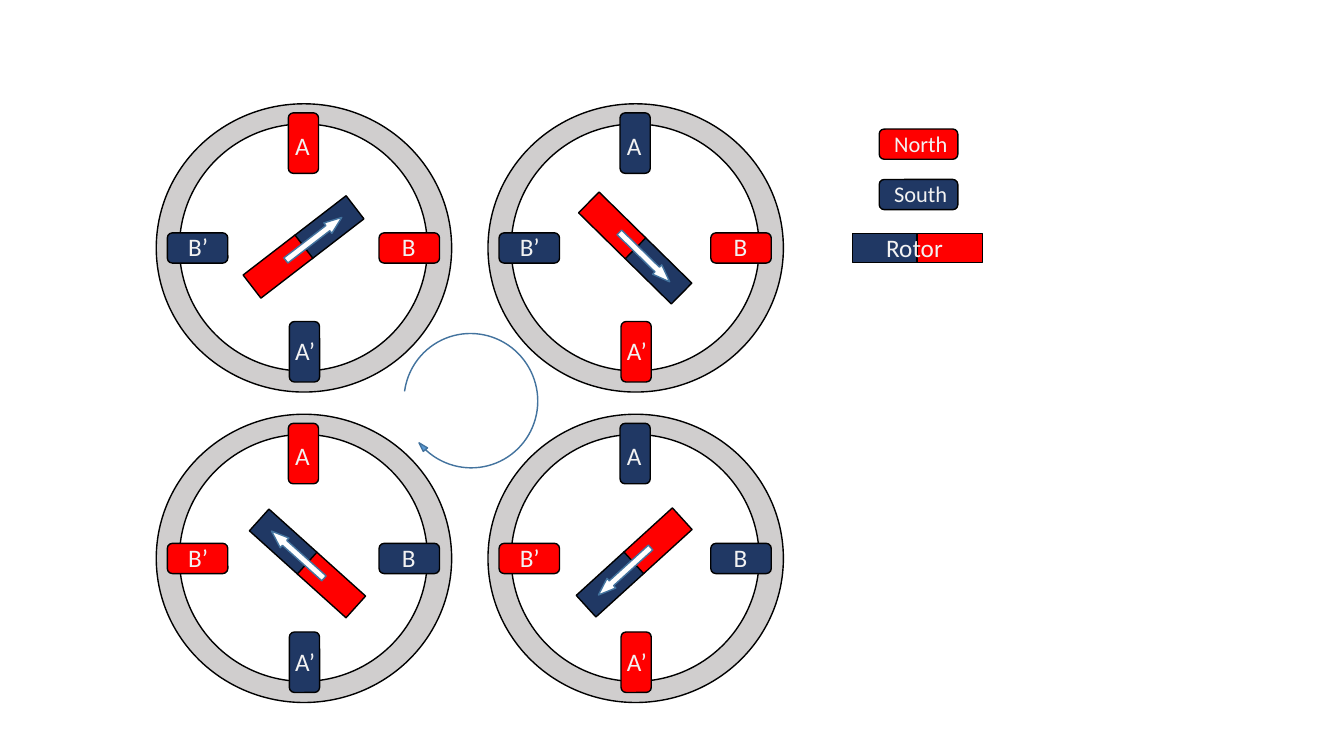
import math
from dataclasses import dataclass

import pptx
import pptx.dml.color
import pptx.enum.shapes
import pptx.enum.text
import pptx.util

MSO = pptx.enum.shapes.MSO_SHAPE
ALIGN = pptx.enum.text.PP_ALIGN
PX = 9144


@dataclass(frozen=True)
class Theme:
    north: str = "FF0000"
    south: str = "203864"
    ring: str = "D0CECE"
    white: str = "FFFFFF"
    line: str = "000000"
    label: str = "F2F2F2"
    arrow_line: str = "43739E"
    turn: str = "5B9BD5"
    font: str = "Calibri"
    size: int = 18
    small: int = 16


T = Theme()
N, S = T.north, T.south

WHEELS = [
    {"at": (155, 103), "coils": (N, S, N, S), "rotor": (301, 245), "angle": 322.4},
    {"at": (484, 103), "coils": (S, N, N, S), "rotor": (630, 246), "angle": 44.5},
    {"at": (484, 411), "coils": (S, N, S, N), "rotor": (629, 558), "angle": 137.7},
    {"at": (155, 411), "coils": (N, S, S, N), "rotor": (305, 559), "angle": 222},
]
COILS = [
    {"at": (131, 9), "rot": 0, "text": "A", "box": (128, 21, 43, 40)},
    {"at": (132, 216), "rot": 0, "text": "A’", "box": (128, 225, 43, 40)},
    {"at": (236, 113), "rot": 270, "text": "B", "box": (232, 122, 37, 40)},
    {"at": (26, 113), "rot": 270, "text": "B’", "box": (20, 122, 43, 40)},
]
LEGEND = [("North", N, 104), ("South", S, 154)]
LEGEND_ROTOR = (910, 246)
POLE_W, POLE_H, POLE_OFFSET = 29, 65, 32
ARROW_W, ARROW_H, ARROW_OFFSET = 70, 13, 13

prs = pptx.Presentation()
prs.slide_width, prs.slide_height = 1333 * PX, 750 * PX
slide = prs.slides.add_slide(prs.slide_layouts[6])


def rgb(color):
    return pptx.dml.color.RGBColor.from_string(color)


def add_shape(kind, x, y, w, h, fill, line=T.line, rot=0, adj=()):
    sp = slide.shapes.add_shape(kind, *(round(v * PX) for v in (x, y, w, h)))
    sp.shadow.inherit = False
    sp.fill.solid()
    sp.fill.fore_color.rgb = rgb(fill)
    sp.line.color.rgb = rgb(line)
    sp.line.width = pptx.util.Pt(1)
    sp.rotation = rot
    for i, value in enumerate(adj):
        sp.adjustments[i] = value


def add_text(text, x, y, w, h, size=T.size, wrap=True, align=ALIGN.LEFT):
    sp = slide.shapes.add_textbox(x * PX, y * PX, w * PX, h * PX)
    tf = sp.text_frame
    tf.word_wrap = wrap
    tf.auto_size = pptx.enum.text.MSO_AUTO_SIZE.SHAPE_TO_FIT_TEXT
    p = tf.paragraphs[0]
    p.alignment = align
    r = p.add_run()
    r.text = text
    r.font.name = T.font
    r.font.size = pptx.util.Pt(size)
    r.font.color.rgb = rgb(T.label)


def add_along(kind, center, angle, offset, w, h, fill, **style):
    cx = center[0] + offset * math.cos(math.radians(angle))
    cy = center[1] + offset * math.sin(math.radians(angle))
    add_shape(kind, cx - w / 2, cy - h / 2, w, h, fill, **style)


def add_poles(center, angle):
    for offset, fill in ((POLE_OFFSET, S), (-POLE_OFFSET, N)):
        add_along(MSO.RECTANGLE, center, angle, offset, POLE_W, POLE_H, fill,
                  rot=(angle + 90) % 360)


def add_stator(x, y, fills):
    add_shape(MSO.OVAL, x, y, 293, 286, T.ring)
    add_shape(MSO.OVAL, x + 23, y + 20, 246, 245, T.white)
    for coil, fill in zip(COILS, fills):
        dx, dy = coil["at"]
        add_shape(MSO.ROUNDED_RECTANGLE, x + dx, y + dy, 30, 60, fill, rot=coil["rot"])
    for coil in COILS:
        dx, dy, w, h = coil["box"]
        sideways = coil["rot"] != 0
        add_text(coil["text"], x + dx, y + dy, w, h, wrap=not sideways,
                 align=ALIGN.CENTER if sideways else ALIGN.LEFT)


for wheel in WHEELS:
    add_stator(*wheel["at"], wheel["coils"])

add_poles(LEGEND_ROTOR, 180)
for name, fill, y in LEGEND:
    add_shape(MSO.ROUNDED_RECTANGLE, 896, y, 30, 78, fill, rot=270)
    add_text(name, 877, y + 20, 130, 37, size=T.small)
add_text("Rotor", 869, 226, 82, 40, wrap=False)

for wheel in WHEELS:
    add_poles(wheel["rotor"], wheel["angle"])
    add_along(MSO.RIGHT_ARROW, wheel["rotor"], wheel["angle"], ARROW_OFFSET,
              ARROW_W, ARROW_H, T.white, line=T.arrow_line, rot=wheel["angle"],
              adj=(0.5, 1.34))

add_shape(MSO.CIRCULAR_ARROW, 398, 328, 138, 139, T.turn, line=T.arrow_line,
          rot=154, adj=(0, 4.81, 203.32, 20.65, 0.02))

prs.save("out.pptx")
